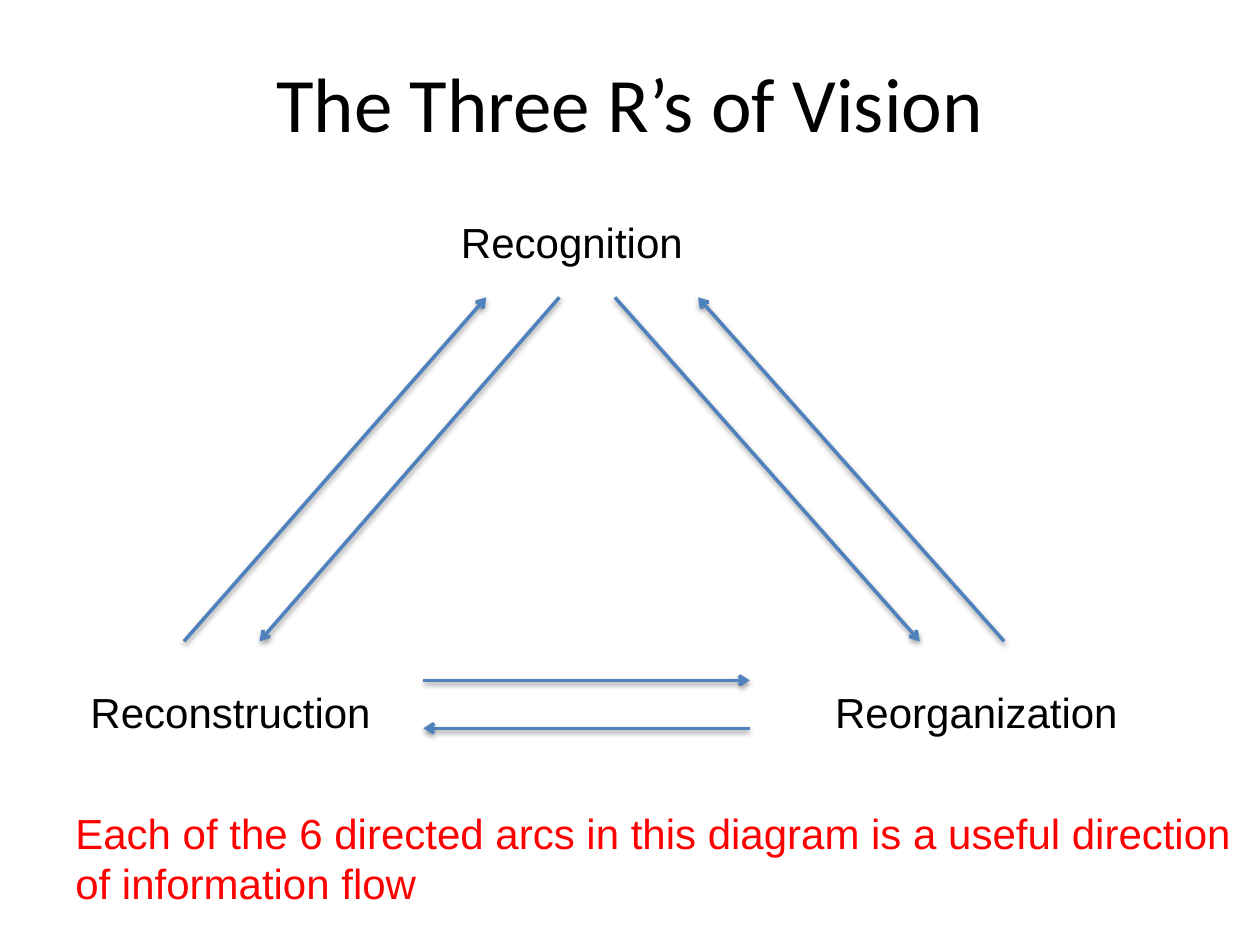
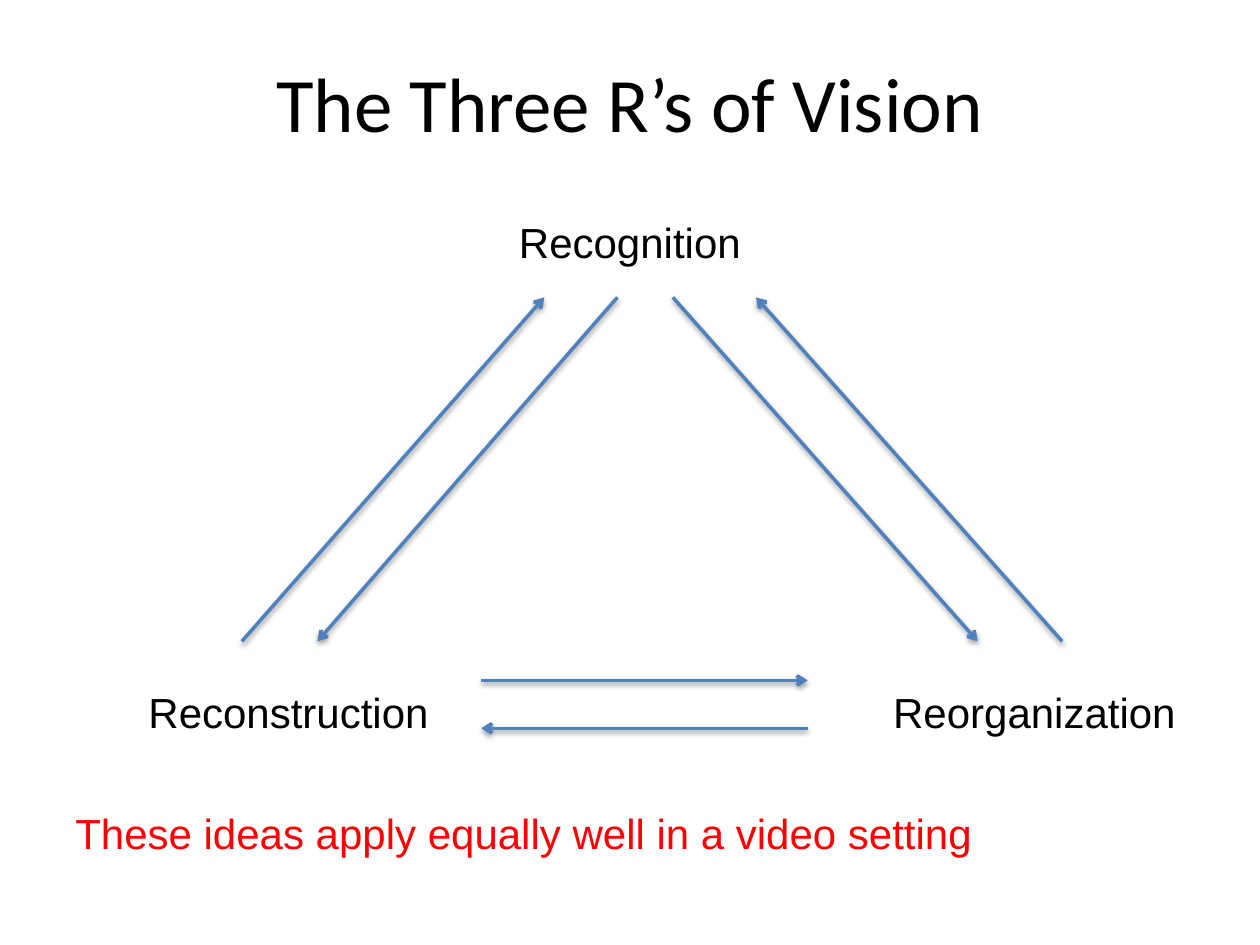
from lxml import etree
from pptx import Presentation
from pptx.dml.color import RGBColor
from pptx.enum.shapes import MSO_CONNECTOR
from pptx.enum.text import MSO_ANCHOR, MSO_AUTO_SIZE, PP_ALIGN
from pptx.oxml import parse_xml
from pptx.oxml.ns import nsdecls, qn
from pptx.util import Inches, Pt

STRAIGHT = MSO_CONNECTOR.STRAIGHT
MIDDLE = MSO_ANCHOR.MIDDLE
CENTER = PP_ALIGN.CENTER
FIT_SHAPE = MSO_AUTO_SIZE.SHAPE_TO_FIT_TEXT

BLACK = RGBColor(0x00, 0x00, 0x00)
RED = RGBColor(0xFF, 0x00, 0x00)
BLUE = RGBColor(0x4F, 0x81, 0xBD)

TITLE = "The Three R’s of Vision"
TITLE_FONT = {"name": "Calibri", "size": Pt(44)}
BODY_FONT = {"name": "Arial", "size": Pt(24)}
TITLE_BOX = (0.5, 0.3, 9, 1.02)
TITLE_ONLY_LAYOUT = 5
LABEL_HEIGHT = 0.5
DIAGRAM_TOP = 1.67

UPPER, LOWER = 0.69, 3.42
FORWARD, BACKWARD = 3.73, 4.11
LABELS = [
    ("Recognition", 2.94, 0, 1.98, False),
    ("Reconstruction", 0, FORWARD, 2.46, True),
    ("Reorganization", 5.91, FORWARD, 2.97, True),
]
ARROWS = [
    (0.84, LOWER, 3.24, UPPER),
    (3.82, UPPER, 1.44, LOWER),
    (4.26, UPPER, 6.68, LOWER),
    (7.35, LOWER, 4.92, UPPER),
    (2.74, FORWARD, 5.33, FORWARD),
    (5.33, BACKWARD, 2.74, BACKWARD),
]
SHADOW = (
    f'<a:effectLst {nsdecls("a")}>'
    '<a:outerShdw blurRad="40000" dist="20000" dir="5400000" rotWithShape="0">'
    '<a:srgbClr val="000000"><a:alpha val="38000"/></a:srgbClr>'
    "</a:outerShdw></a:effectLst>"
)

SLIDES = [
    {
        "note": "Each of the 6 directed arcs in this diagram is a useful direction of information flow",
        "note_height": 0.91,
        "diagram_left": 0.62,
        "grouped": True,
    },
    {
        "note": "These ideas apply equally well in a video setting",
        "note_height": 0.5,
        "diagram_left": 1.08,
        "grouped": False,
    },
]


def format_font(font, values, color):
    for name, value in values.items():
        setattr(font, name, value)
    font.color.rgb = color


def add_title(slide, box):
    title = slide.shapes.title
    for name, value in zip(("left", "top", "width", "height"), box):
        setattr(title, name, Inches(value))
    title.text_frame.text = TITLE
    title.text_frame.vertical_anchor = MIDDLE
    paragraph = title.text_frame.paragraphs[0]
    paragraph.alignment = CENTER
    format_font(paragraph.runs[0].font, TITLE_FONT, BLACK)


def add_text(shapes, text, box, color, wrap=True):
    text_frame = shapes.add_textbox(*map(Inches, box)).text_frame
    text_frame.text = text
    text_frame.word_wrap = wrap
    text_frame.auto_size = FIT_SHAPE
    format_font(text_frame.paragraphs[0].runs[0].font, BODY_FONT, color)


def add_arrow(shapes, ends):
    arrow = shapes.add_connector(STRAIGHT, *map(Inches, ends))
    arrow.line.color.rgb = BLUE
    arrow.line.width = Pt(2)
    etree.SubElement(arrow.line._get_or_add_ln(), qn("a:tailEnd"), type="arrow")
    arrow._element.spPr.append(parse_xml(SHADOW))


def add_diagram(slide, left, top, grouped):
    shapes = slide.shapes.add_group_shape().shapes if grouped else slide.shapes
    for text, x, y, width, wrap in LABELS:
        add_text(shapes, text, (left + x, top + y, width, LABEL_HEIGHT), BLACK, wrap)
    for x1, y1, x2, y2 in ARROWS:
        add_arrow(shapes, (left + x1, top + y1, left + x2, top + y2))


def add_vision_slide(presentation, note, note_height, diagram_left, grouped):
    slide = presentation.slides.add_slide(presentation.slide_layouts[TITLE_ONLY_LAYOUT])
    add_title(slide, TITLE_BOX)
    add_text(slide.shapes, note, (0.5, 6.36, 9.5, note_height), RED)
    add_diagram(slide, diagram_left, DIAGRAM_TOP, grouped)


def main():
    presentation = Presentation()
    presentation.slide_width = Inches(10)
    presentation.slide_height = Inches(7.5)
    for content in SLIDES:
        add_vision_slide(presentation, **content)
    presentation.save("out.pptx")


if __name__ == "__main__":
    main()
